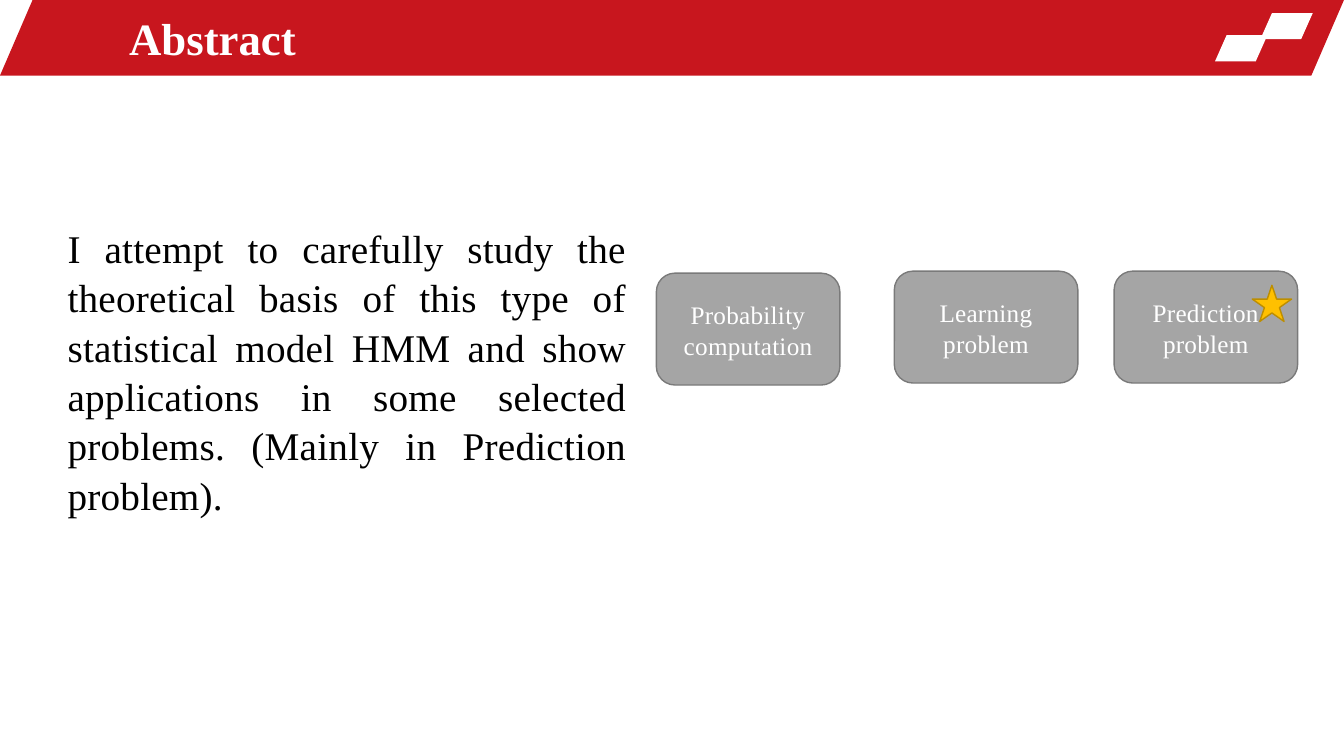
from pptx import Presentation
from pptx import util as u
from pptx.dml.color import RGBColor
from pptx.enum import shapes, text
from pptx.oxml.ns import qn

W, H = 13.33, 7.5
FONT = "Times New Roman"
RED, WHITE, BLACK = "C8161E", "FFFFFF", "000000"
GREY, GREY_LINE = "A5A5A5", "7A7A7A"
GOLD, GOLD_LINE = "FFC000", "BD8E00"


def rgb(value):
    """Turn a hex string into a colour."""
    return RGBColor.from_string(value)


def place(sp, box):
    """Move a shape to a box given in inches."""
    sp.left, sp.top, sp.width, sp.height = (u.Inches(v) for v in box)


def add_shape(s, kind, box, fill, line=None):
    """Add a flat preset shape with an optional thin outline."""
    sp = s.shapes.add_shape(kind, *(u.Inches(v) for v in box))
    sp.shadow.inherit = False
    sp.fill.solid()
    sp.fill.fore_color.rgb = rgb(fill)
    if line:
        sp.line.color.rgb = rgb(line)
        sp.line.width = u.Pt(1)
    else:
        sp.line.fill.background()
    return sp


def write(sp, words, size, color, align, anchor, bold=False, spacing=0, leading=1):
    """Fill a shape with one formatted paragraph."""
    tf = sp.text_frame
    tf.text = words
    tf.word_wrap = True
    tf.auto_size = text.MSO_AUTO_SIZE.NONE
    tf.vertical_anchor = anchor
    p = tf.paragraphs[0]
    p.alignment = align
    p.line_spacing = leading
    p.space_before = u.Pt(0)
    r = p.runs[0]
    r.font.name, r.font.size, r.font.bold = FONT, u.Pt(size), bold
    r.font.color.rgb = rgb(color)
    r._r.get_or_add_rPr().set("spc", str(spacing))
    return p


def banner(s, box, words):
    """Draw the slanted title bar with its ornament and the title."""
    x, y, w, h = box
    bar = add_shape(s, shapes.MSO_SHAPE.PARALLELOGRAM, box, RED)
    bar.adjustments[0] = 0.431
    for dx, dy in ((0.83, 0.13), (1.28, 0.35)):
        tile = add_shape(s, shapes.MSO_SHAPE.PARALLELOGRAM,
                         (x + w - dx, y + dy, 0.52, 0.26), WHITE)
        tile.adjustments[0] = 0.444
    title = s.shapes.title
    bar._element.getparent().append(title._element)
    place(title, (x + 1.18, y + 0.05, 7.74, h - 0.1))
    write(title, words, 32, WHITE, text.PP_ALIGN.LEFT,
          text.MSO_ANCHOR.MIDDLE, bold=True)


def summary(s, box, words):
    """Set the justified abstract in the body placeholder."""
    body = s.placeholders[1]
    place(body, box)
    p = write(body, words, 28, BLACK, text.PP_ALIGN.JUSTIFY,
              text.MSO_ANCHOR.TOP, spacing=20, leading=1.05)
    pPr = p._p.get_or_add_pPr()
    pPr.set("marL", "0")
    pPr.set("indent", "0")
    pPr.append(pPr.makeelement(qn("a:buNone"), {}))


def problems(s, box, cards):
    """Draw the problem cards and star the last one."""
    x, y, w, h = box
    card_w = 1.82
    for dx, dy, words in cards:
        card = add_shape(s, shapes.MSO_SHAPE.ROUNDED_RECTANGLE,
                         (x + dx, y + dy, card_w, h), GREY, GREY_LINE)
        write(card, words, 18, WHITE, text.PP_ALIGN.CENTER,
              text.MSO_ANCHOR.MIDDLE, spacing=20, leading=1.05)
    add_shape(s, shapes.MSO_SHAPE.STAR_5_POINT,
              (x + w - 0.45, y + 0.14, 0.39, 0.36), GOLD, GOLD_LINE)


def main():
    """Build and save the abstract slide."""
    prs = Presentation()
    prs.slide_width, prs.slide_height = u.Inches(W), u.Inches(H)
    s = prs.slides.add_slide(prs.slide_layouts[1])
    banner(s, (0, 0, W, H / 10), "Abstract")
    summary(s, (0.57, 2.15, 5.75, 2.93),
            "I attempt to carefully study the theoretical basis of this type of "
            "statistical model HMM and show applications in some selected "
            "problems. (Mainly in Prediction problem).")
    problems(s, (6.51, 2.69, 6.36, 1.11),
             ((0, 0.02, "Probability computation"),
              (2.36, 0, "Learning problem"),
              (4.54, 0, "Prediction problem")))
    prs.save("out.pptx")


if __name__ == "__main__":
    main()
